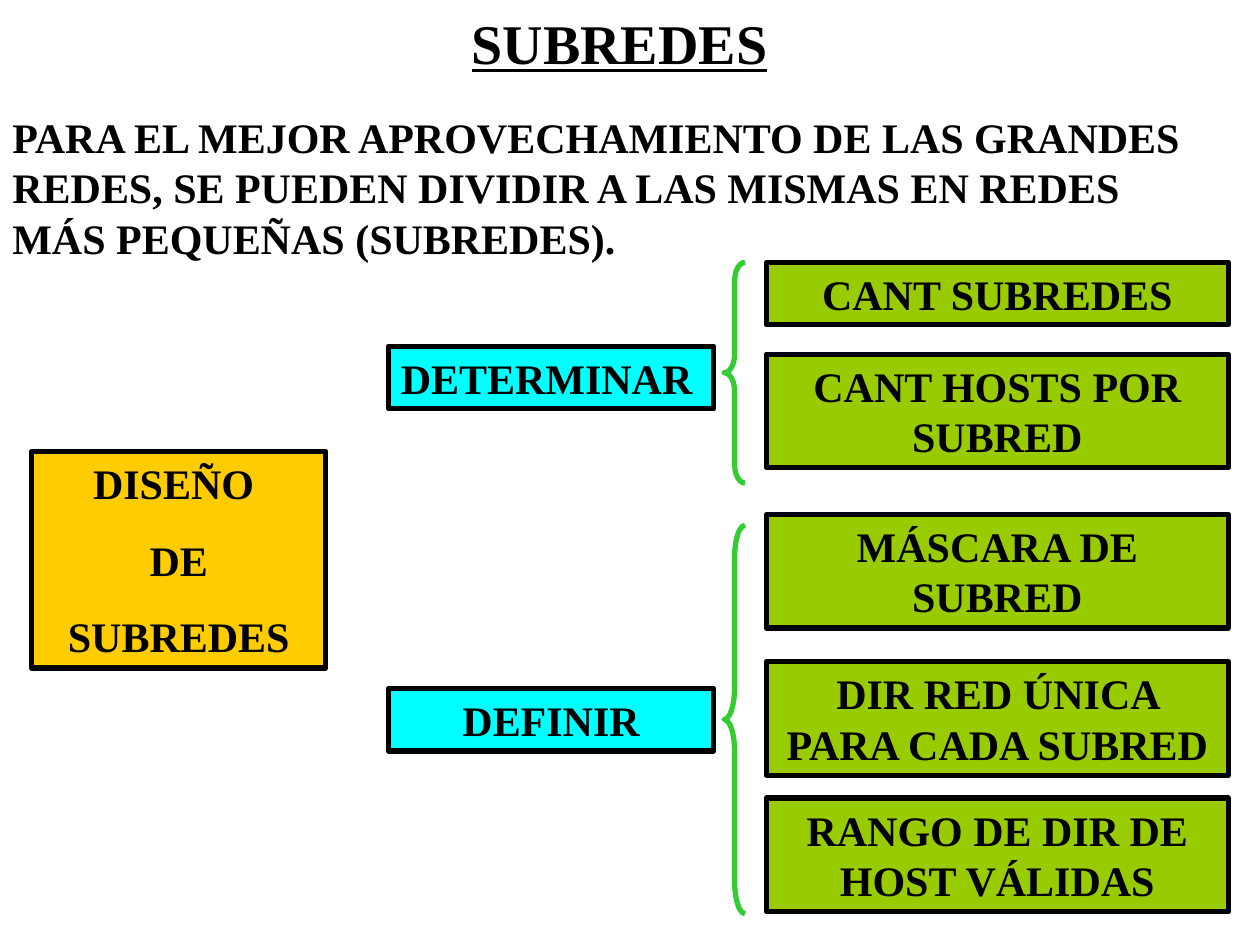
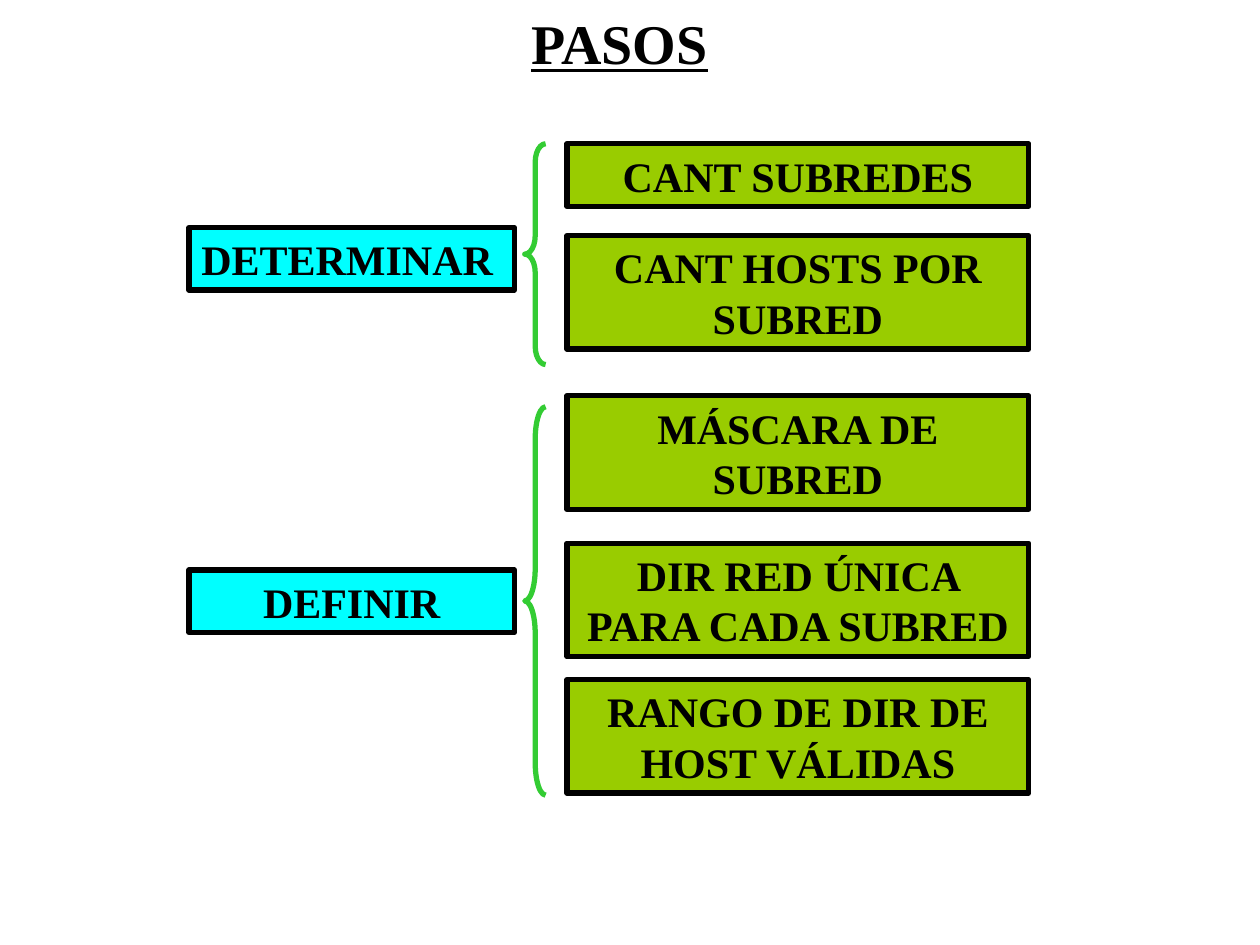
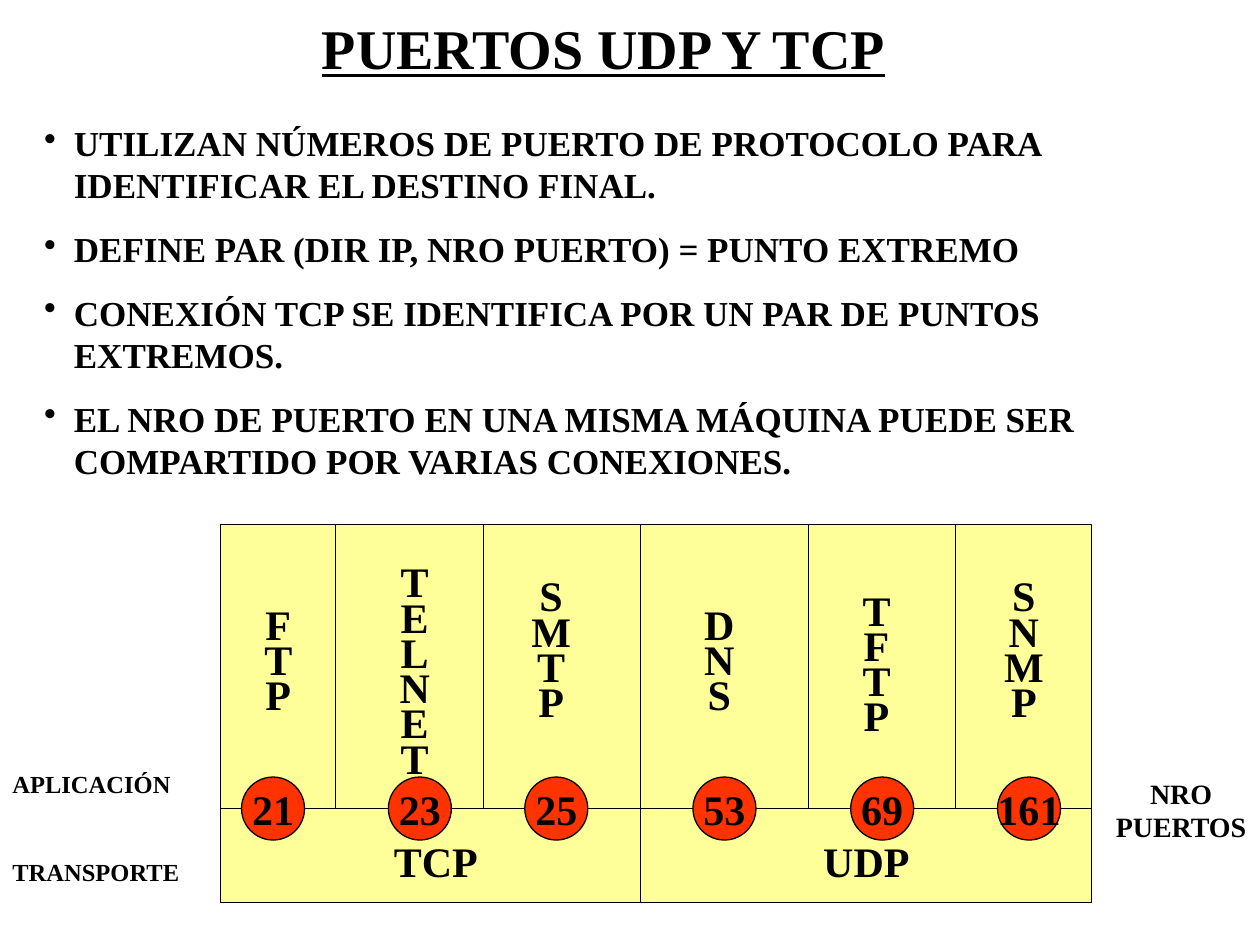
from lxml.etree import SubElement
from pptx import Presentation
from pptx.dml.color import RGBColor
from pptx.enum.shapes import MSO_CONNECTOR, MSO_SHAPE
from pptx.enum.text import MSO_ANCHOR, MSO_AUTO_SIZE, PP_ALIGN
from pptx.oxml.ns import qn
from pptx.util import Cm, Pt

FONT = "Times New Roman"
BLACK, ORANGE, CYAN, GREEN = "000000", "FFCC00", "00FFFF", "99CC00"
BRACE_GREEN, YELLOW, RED = "33CC33", "FFFF99", "FF3300"
LEFT, CENTER = PP_ALIGN.LEFT, PP_ALIGN.CENTER

# All positions and sizes are in centimetres.
TITLE_BOX = (6.99, 0.21, 11, 1.27)
PORTS_TITLE_BOX = (5.29, 0.21, 13.76, 1.48)

INTRO = ("PARA EL MEJOR APROVECHAMIENTO DE LAS GRANDES REDES, SE PUEDEN "
         "DIVIDIR A LAS MISMAS EN REDES MÁS PEQUEÑAS (SUBREDES).")
DESIGN = ["DISEÑO ", "DE", "SUBREDES"]

# Tops are measured from the top of the diagram.
STEPS = [
    {"name": "DETERMINAR", "align": LEFT, "top": 1.69, "brace": (0, 4.45),
     "tasks": [("CANT SUBREDES", 0, 1.26),
               ("CANT HOSTS POR SUBRED", 1.85, 2.29)]},
    {"name": "DEFINIR", "align": CENTER, "top": 8.59, "brace": (5.3, 7.83),
     "tasks": [("MÁSCARA DE SUBRED", 5.08, 2.29),
               ("DIR RED ÚNICA PARA CADA SUBRED", 8.05, 2.29),
               ("RANGO DE DIR DE HOST VÁLIDAS", 10.8, 2.29)]},
]
STEP_WIDTH, STEP_HEIGHT = 6.56, 1.26
BRACE_OFFSET, BRACE_WIDTH = 6.77, 0.42
TASK_OFFSET, TASK_WIDTH = 7.62, 9.31

PORT_FACTS = [
    "UTILIZAN NÚMEROS DE PUERTO DE PROTOCOLO PARA IDENTIFICAR EL DESTINO FINAL.",
    "DEFINE PAR (DIR IP, NRO PUERTO) = PUNTO EXTREMO",
    "CONEXIÓN TCP SE IDENTIFICA POR UN PAR DE PUNTOS EXTREMOS.",
    "EL NRO DE PUERTO EN UNA MISMA MÁQUINA PUEDE SER COMPARTIDO POR VARIAS CONEXIONES.",
]
BULLET_INDENT = 0.6

GRID_LEFT, GRID_RIGHT = 4.45, 22.01
GRID_TOP, GRID_MIDDLE, GRID_BOTTOM = 10.58, 16.3, 18.2
PROTOCOL_DIVIDER = 12.91
APPLICATION_DIVIDERS = [6.77, 9.74, 16.3, 19.26]
# Application, left and top of its name, port, left of the port
APPLICATIONS = [
    ("FTP", 4.87, 12.21, "21", 4.87),
    ("TELNET", 7.62, 11.36, "23", 7.83),
    ("SMTP", 10.37, 11.64, "25", 10.58),
    ("DNS", 13.76, 12.21, "53", 13.97),
    ("TFTP", 16.93, 11.93, "69", 17.15),
    ("SNMP", 19.9, 11.64, "161", 20.11),
]
LETTER_HEIGHT, NAME_WIDTH, PORT_SIZE = 0.72, 1.48, 1.27
PROTOCOLS = [("TCP", 5.29), ("UDP", 13.97)]
LAYERS = ["APLICACIÓN", "TRANSPORTE"]


def color(hex_value):
    return RGBColor.from_string(hex_value)


def place(shape, box):
    shape.left, shape.top, shape.width, shape.height = map(Cm, box)


def style_font(paragraph, size, underline=None):
    for run in paragraph.runs:
        font = run.font
        font.name, font.size, font.bold = FONT, Pt(size), True
        font.underline = underline
        font.color.rgb = color(BLACK)


def write(shape, lines, size=24, align=CENTER, gap=15, line_spacing=None,
          anchor=MSO_ANCHOR.TOP, wrap=True):
    """Put one paragraph per line in the shape, with gap points between them."""
    frame = shape.text_frame
    frame.text = "\n".join(lines)
    frame.word_wrap, frame.vertical_anchor = wrap, anchor
    frame.auto_size = MSO_AUTO_SIZE.NONE
    for index, paragraph in enumerate(frame.paragraphs):
        paragraph.alignment = align
        paragraph.line_spacing = line_spacing
        paragraph.space_before = Pt(gap if index else 0)
        style_font(paragraph, size)


def add_text(slide, box, lines, **text_style):
    shape = slide.shapes.add_textbox(*map(Cm, box))
    write(shape, lines, **text_style)
    return shape


def add_figure(slide, kind, box, fill=None, line=BLACK, line_width=3.0):
    shape = slide.shapes.add_shape(kind, *map(Cm, box))
    shape.shadow.inherit = False
    if fill:
        shape.fill.solid()
        shape.fill.fore_color.rgb = color(fill)
    else:
        shape.fill.background()
    shape.line.color.rgb = color(line)
    shape.line.width = Pt(line_width)
    return shape


def add_box(slide, box, fill, lines, align=CENTER):
    write(add_figure(slide, MSO_SHAPE.RECTANGLE, box, fill), lines, align=align)


def add_brace(slide, left, top, height):
    box = (left, top, BRACE_WIDTH, height)
    brace = add_figure(slide, MSO_SHAPE.LEFT_BRACE, box, line=BRACE_GREEN)
    # Each curve takes a twelfth of the height.
    brace.adjustments[0] = height / BRACE_WIDTH / 12


def add_line(slide, *ends):
    connector = slide.shapes.add_connector(MSO_CONNECTOR.STRAIGHT, *map(Cm, ends))
    connector.line.color.rgb = color(BLACK)
    connector.line.width = Pt(0.75)
    SubElement(connector._element.spPr, qn("a:effectLst"))


def add_bullet(paragraph):
    properties = paragraph._p.get_or_add_pPr()
    properties.set("marL", str(Cm(BULLET_INDENT)))
    properties.set("indent", str(-Cm(BULLET_INDENT)))
    SubElement(properties, qn("a:buChar")).set("char", "•")


def add_slide(presentation, title, box=TITLE_BOX):
    slide = presentation.slides.add_slide(presentation.slide_layouts[5])
    heading = slide.shapes.title
    place(heading, box)
    write(heading, [title], size=32, anchor=MSO_ANCHOR.MIDDLE)
    style_font(heading.text_frame.paragraphs[0], 32, underline=True)
    return slide


def add_steps(slide, left, top):
    for step in STEPS:
        box = (left, top + step["top"], STEP_WIDTH, STEP_HEIGHT)
        add_box(slide, box, CYAN, [step["name"]], step["align"])
        for task, task_top, height in step["tasks"]:
            box = (left + TASK_OFFSET, top + task_top, TASK_WIDTH, height)
            add_box(slide, box, GREEN, [task])
        brace_top, height = step["brace"]
        add_brace(slide, left + BRACE_OFFSET, top + brace_top, height)


def add_port_grid(slide):
    box = (GRID_LEFT, GRID_TOP, GRID_RIGHT - GRID_LEFT, GRID_BOTTOM - GRID_TOP)
    add_figure(slide, MSO_SHAPE.RECTANGLE, box, YELLOW, line_width=0.75)
    add_line(slide, GRID_LEFT, GRID_MIDDLE, GRID_RIGHT, GRID_MIDDLE)
    add_line(slide, PROTOCOL_DIVIDER, GRID_TOP, PROTOCOL_DIVIDER, GRID_BOTTOM)
    for x in APPLICATION_DIVIDERS:
        add_line(slide, x, GRID_TOP, x, GRID_MIDDLE)
    for name, left, top, port, port_left in APPLICATIONS:
        # The narrow box leaves room for one letter a line.
        height = len(name) * LETTER_HEIGHT + 0.25
        add_text(slide, (left, top, NAME_WIDTH, height), [name], line_spacing=0.7)
        box = (port_left, GRID_MIDDLE - PORT_SIZE / 2, PORT_SIZE, PORT_SIZE)
        circle = add_figure(slide, MSO_SHAPE.OVAL, box, RED, line_width=0.75)
        write(circle, [port], anchor=MSO_ANCHOR.MIDDLE, wrap=False)
    for protocol, left in PROTOCOLS:
        add_text(slide, (left, 16.72, 6.99, 1.27), [protocol])


def main():
    presentation = Presentation()
    presentation.slide_width, presentation.slide_height = Cm(25.4), Cm(19.05)

    slide = add_slide(presentation, "SUBREDES")
    add_text(slide, (0, 2.12, 24.56, 3.3), [INTRO], align=LEFT)
    add_box(slide, (0.64, 9.1, 5.93, 4.37), ORANGE, DESIGN)
    add_steps(slide, 7.83, 5.29)

    slide = add_slide(presentation, "PASOS")
    add_steps(slide, 3.81, 2.9)

    slide = add_slide(presentation, "PUERTOS UDP Y TCP", PORTS_TITLE_BOX)
    facts = add_text(slide, (0.64, 2.33, 24.76, 7.52), PORT_FACTS, size=20,
                     align=LEFT, gap=12.5)
    for paragraph in facts.text_frame.paragraphs:
        add_bullet(paragraph)
    add_port_grid(slide)
    add_text(slide, (0, 15.37, 4.24, 2.67), LAYERS, size=14, align=LEFT, gap=33.7)
    add_text(slide, (22.22, 15.52, 3.18, 1.63), ["NRO PUERTOS"], size=16)

    presentation.save("out.pptx")


if __name__ == "__main__":
    main()
